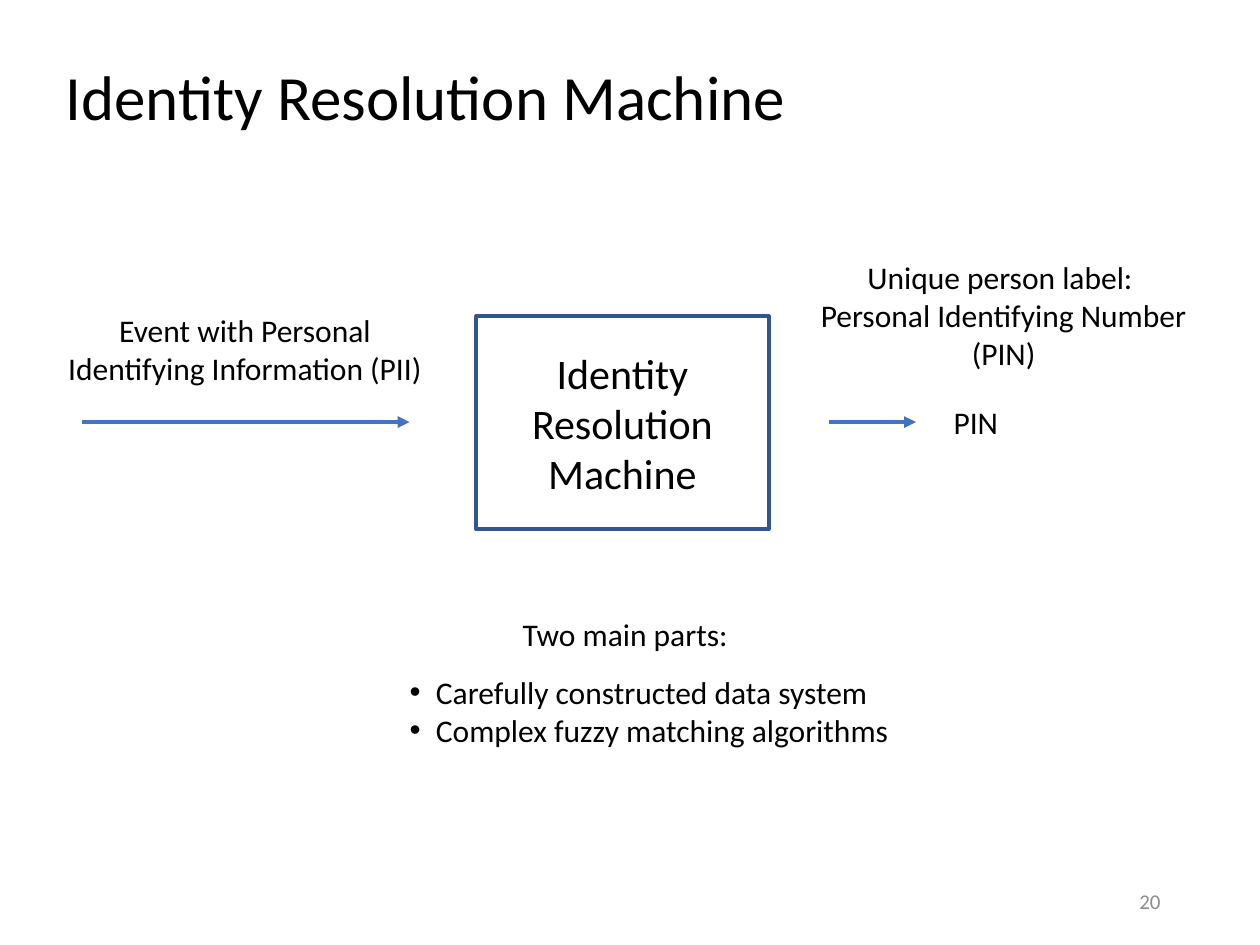
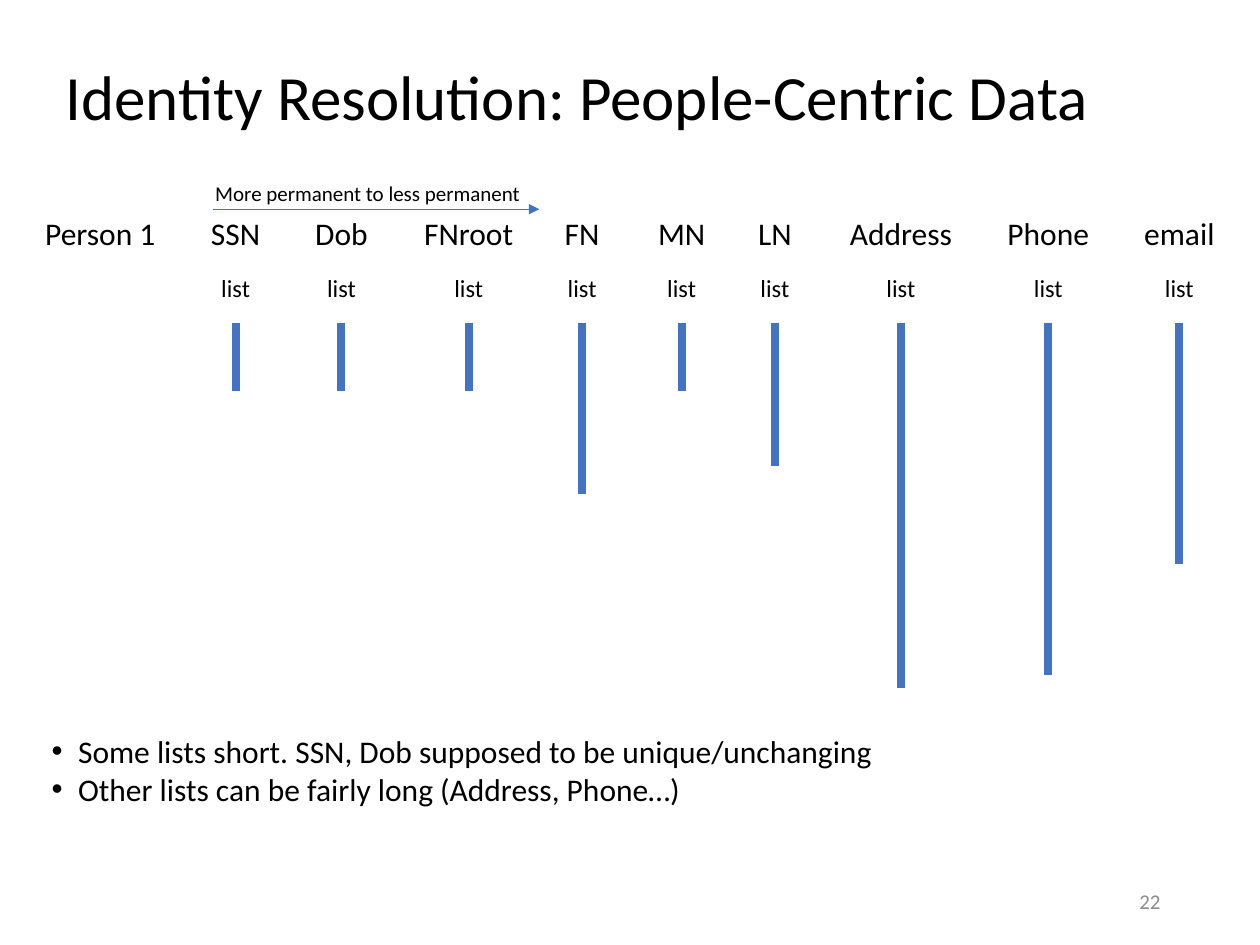
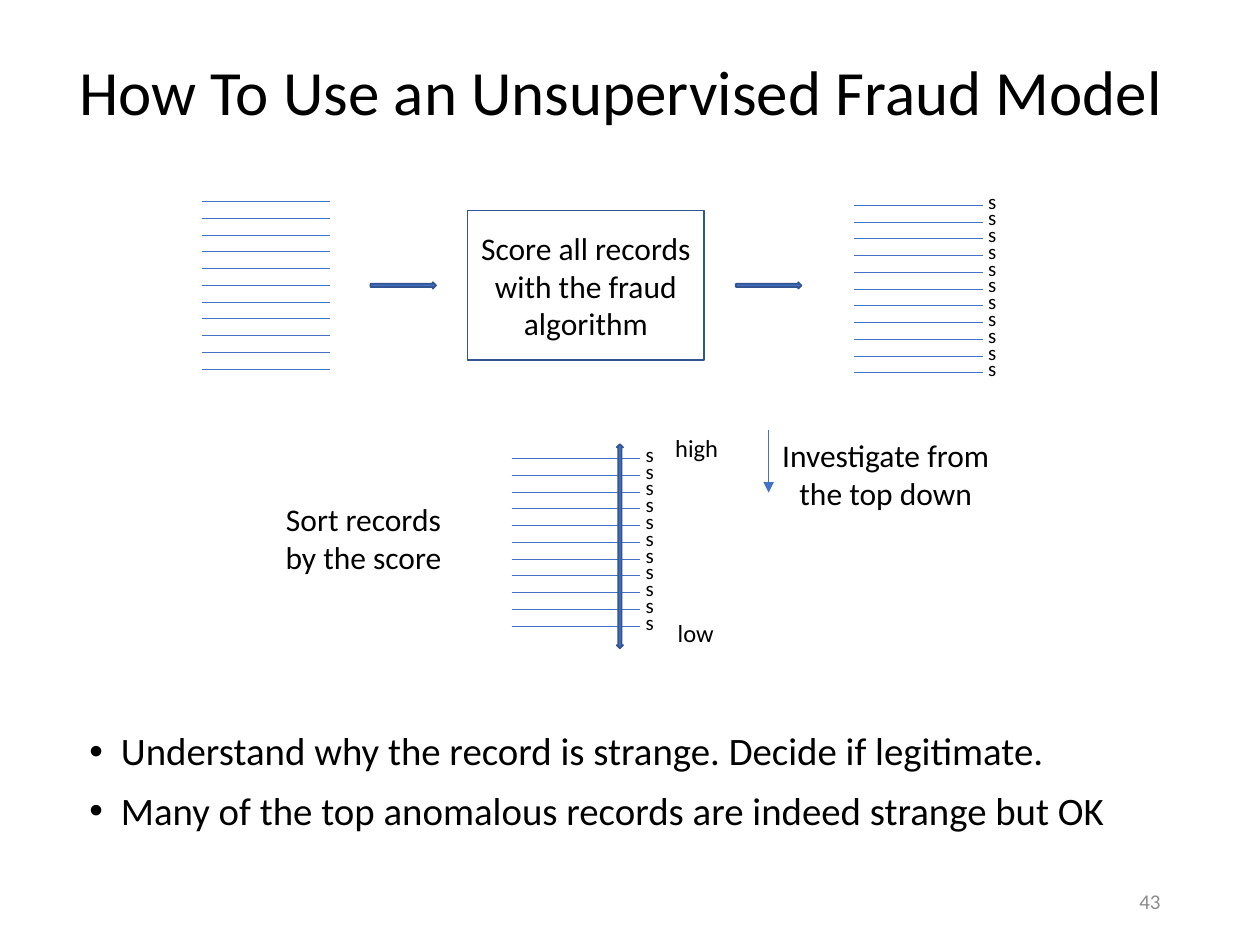
from lxml import etree
from pptx import Presentation
from pptx.dml.color import RGBColor
from pptx.enum.shapes import MSO_CONNECTOR, MSO_SHAPE
from pptx.enum.text import MSO_ANCHOR, MSO_AUTO_SIZE, PP_ALIGN
from pptx.oxml.ns import qn
from pptx.util import Inches, Pt

LEFT, MID, RIGHT = PP_ALIGN.LEFT, PP_ALIGN.CENTER, PP_ALIGN.RIGHT
TOP, CENTRE = MSO_ANCHOR.TOP, MSO_ANCHOR.MIDDLE
FIXED = MSO_AUTO_SIZE.NONE
STRAIGHT = MSO_CONNECTOR.STRAIGHT
RECT, ARROW, DOUBLE = MSO_SHAPE.RECTANGLE, MSO_SHAPE.RIGHT_ARROW, MSO_SHAPE.LEFT_RIGHT_ARROW

FONT = "Calibri"
BLACK, GREY, BLUE, NAVY = "000000", "8C8C8C", "4472C4", "325491"
COLS, ROWS = 100, 75
CELL = Inches(0.1)
TITLE = (4.2, 0.7, 90.4, 14.5)
NUMBER = (70.6, 69.5, 22.5, 4)
STEP, COUNT = 1.33, 11

FIELDS = [
    ("SSN", 18.7, 6, 31), ("Dob", 27.1, 6.2, 31), ("FNroot", 37.2, 9.1, 31),
    ("FN", 46.2, 4.8, 39.2), ("MN", 54.1, 5.8, 31), ("LN", 61.5, 4.7, 37),
    ("Address", 71.5, 10.2, 54.6), ("Phone", 83.2, 8.6, 53.6), ("email", 93.6, 7.7, 44.8),
]


def grid(*cells):
    """Turn grid columns and rows into slide lengths."""
    return [int(cell * CELL) for cell in cells]


def tint(code):
    """Turn a hex string into a colour."""
    return RGBColor.from_string(code)


def write(frame, text, size=18, color=BLACK, align=LEFT, anchor=TOP, wrap=True,
          lead=1, before=0, indent=0):
    """Fill a frame with one formatted paragraph per line of text."""
    frame.auto_size, frame.word_wrap = FIXED, wrap
    frame.vertical_anchor = anchor
    for n, line in enumerate(text.split("\n")):
        para = frame.add_paragraph() if n else frame.paragraphs[0]
        para.alignment, para.line_spacing = align, lead
        para.space_before = Pt(before)
        if indent:
            props = para._p.get_or_add_pPr()
            props.set("marL", str(Inches(indent)))
            props.set("indent", str(-Inches(indent)))
        run = para.add_run()
        run.text = line
        run.font.name, run.font.size = FONT, Pt(size)
        run.font.color.rgb = tint(color)


def label(slide, box, text, **look):
    """Add a text box."""
    write(slide.shapes.add_textbox(*grid(*box)).text_frame, text, **look)


def fill(holder, box, text, **look):
    """Move a placeholder and fill it."""
    holder.left, holder.top, holder.width, holder.height = grid(*box)
    write(holder.text_frame, text, **look)


def page(deck, title, number, points, area, spot=TITLE, **look):
    """Add a slide with its title, number and bullet list."""
    slide = deck.slides.add_slide(deck.slide_layouts[1])
    fill(slide.shapes.title, spot, title, size=36, anchor=CENTRE, lead=0.9)
    fill(slide.placeholders[1], area, points, **look)
    label(slide, NUMBER, number, size=12, color=GREY, align=RIGHT, anchor=CENTRE)
    return slide


def rule(slide, start, end, width=0.5, head=False):
    """Draw a straight line, with an arrowhead if asked."""
    line = slide.shapes.add_connector(STRAIGHT, *grid(*start, *end))
    line.line.color.rgb, line.line.width = tint(BLUE), Pt(width)
    if head:
        etree.SubElement(line.line._get_or_add_ln(), qn("a:tailEnd"), type="triangle")
    etree.SubElement(line._element.spPr, qn("a:effectLst"))


def shape(slide, kind, box, width=1, color=None, turn=0):
    """Add an outlined preset shape."""
    item = slide.shapes.add_shape(kind, *grid(*box))
    item.shadow.inherit = False
    item.rotation = turn
    item.line.color.rgb, item.line.width = tint(NAVY), Pt(width)
    if color:
        item.fill.solid()
        item.fill.fore_color.rgb = tint(color)
    else:
        item.fill.background()
    return item


def panel(slide, box, text, width, size):
    """Add an outlined box with centred text."""
    frame = shape(slide, RECT, box, width).text_frame
    frame.margin_left = frame.margin_right = 0
    write(frame, text, size=size, align=MID, anchor=CENTRE)


def field(slide, name, mid, width, end):
    """Add a data field with its list bar."""
    label(slide, (mid - width / 2, 16.5, width, 4), name, align=MID, wrap=False)
    label(slide, (mid - 2.15, 21.2, 4.3, 3.4), "list", size=14, align=MID, wrap=False)
    rule(slide, (mid, 25.6), (mid, end), 4.5)


def stack(slide, left, top, scored=True):
    """Draw a stack of records, each with its score if scored."""
    for n in range(COUNT):
        y = top + n * STEP
        rule(slide, (left, y), (left + 10.2, y))
        if scored:
            label(slide, (left + 9.65, y - 1.85, 2.7, 3), "s", size=12, wrap=False)


def machine(deck):
    """Build the slide on the resolution machine."""
    slide = page(deck, "Identity Resolution Machine", "20",
                 "Carefully constructed data system\nComplex fuzzy matching algorithms",
                 (31.5, 52.9, 41.5, 7.1), wrap=False, indent=0.21)
    panel(slide, (37.8, 25.1, 23.2, 16.9), "Identity Resolution Machine", 2.25, 24)
    label(slide, (3.8, 24.2, 31.3, 7.1),
          "Event with Personal Identifying Information (PII)", align=MID)
    label(slide, (59.7, 20, 39.9, 10.1),
          "Unique person label: \nPersonal Identifying Number\n(PIN)", align=MID)
    label(slide, (74.7, 31.5, 5.6, 4), "PIN", wrap=False)
    label(slide, (40.5, 48.3, 18.5, 4), "Two main parts:", wrap=False)
    for start, end in ((6.5, 32.5), (65.8, 72.7)):
        rule(slide, (start, 33.5), (end, 33.5), 2.25, head=True)


def people(deck):
    """Build the slide on the data held for each person."""
    slide = page(deck, "Identity Resolution: People-Centric Data", "22",
                 "Some lists short. SSN, Dob supposed to be unique/unchanging\n"
                 "Other lists can be fairly long (Address, Phone…)",
                 (3.1, 57.6, 70.5, 7.1), indent=0.21)
    label(slide, (2.6, 16.5, 10.9, 4), "Person 1", wrap=False)
    for item in FIELDS:
        field(slide, *item)
    label(slide, (16.1, 13.8, 26.5, 3), "More permanent to less permanent",
          size=12, wrap=False)
    rule(slide, (16.9, 16.6), (42.8, 16.6), head=True)


def fraud(deck):
    """Build the slide on using the fraud model."""
    slide = page(deck, "How To Use an Unsupervised Fraud Model", "43",
                 "Understand why the record is strange. Decide if legitimate.\n"
                 "Many of the top anomalous records are indeed strange but OK",
                 (6.1, 57.6, 86.2, 10.8), spot=(5.3, 0.3, 89.3, 14.5),
                 size=22.2, lead=0.9, before=10, indent=0.25)
    stack(slide, 16, 16, scored=False)
    stack(slide, 67.8, 16.3)
    stack(slide, 40.6, 36.4)
    panel(slide, (37.1, 16.7, 18.8, 11.9),
          "Score all records with the fraud algorithm", 1, 18)
    for left in (29.4, 58.4):
        shape(slide, ARROW, (left, 22.4, 5.2, 0.5), color=BLUE)
    shape(slide, DOUBLE, (41.1, 43.1, 16.2, 0.5), color=BLUE, turn=90)
    label(slide, (20.6, 39.2, 16.5, 7.1), "Sort records by the score", align=MID)
    label(slide, (60.8, 34.1, 19, 7.1), "Investigate from the top down", align=MID)
    label(slide, (52.6, 33.9, 5.5, 3.4), "high", size=14, wrap=False)
    label(slide, (52.8, 48.6, 4.9, 3.4), "low", size=14, wrap=False)
    rule(slide, (61, 34.1), (61, 39.1), head=True)


def main():
    """Build and save the deck."""
    deck = Presentation()
    deck.slide_width, deck.slide_height = grid(COLS, ROWS)
    for build in (machine, people, fraud):
        build(deck)
    deck.save("out.pptx")


if __name__ == "__main__":
    main()
